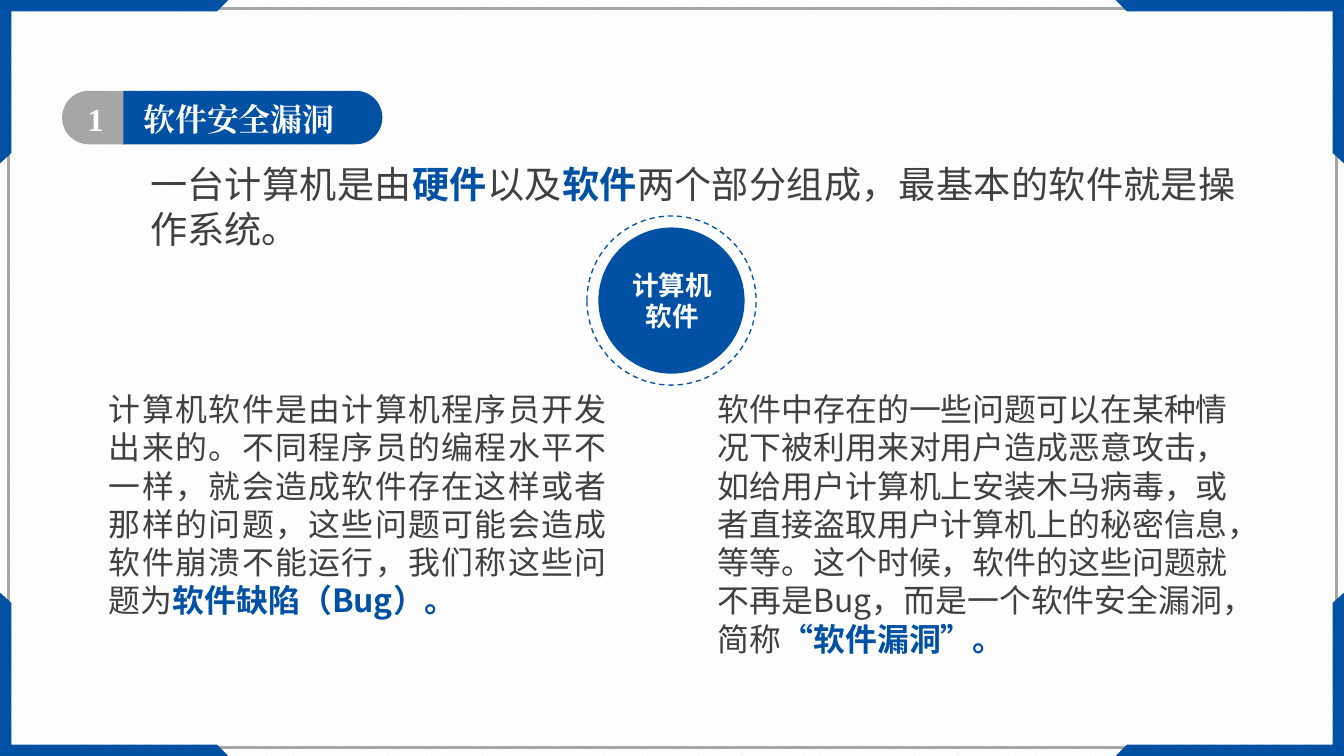
from lxml import etree
from pptx import Presentation
from pptx.dml.color import RGBColor
from pptx.enum.dml import MSO_LINE, MSO_PATTERN
from pptx.enum.shapes import MSO_SHAPE
from pptx.enum.text import MSO_AUTO_SIZE, PP_ALIGN
from pptx.oxml.ns import qn
from pptx.util import Pt

PX = 9144  # one px is a hundredth of an inch
WIDTH, HEIGHT = 1406, 791
BLUE, GREY, DARK, WHITE = "0050A3", "A6A6A6", "404040", "FFFFFF"
SANS, SERIF = "Noto Sans CJK SC", "Times New Roman"


def color(value):
    return RGBColor.from_string(value)


def style(shape, fill=None, line=None, weight=1, dash=None):
    shape.shadow.inherit = False
    if fill:
        shape.fill.solid()
        shape.fill.fore_color.rgb = color(fill)
    else:
        shape.fill.background()
    if line:
        shape.line.color.rgb = color(line)
        shape.line.width = Pt(weight)
        shape.line.dash_style = dash
    else:
        shape.line.fill.background()


def add_shape(slide, kind, box, **look):
    shape = slide.shapes.add_shape(kind, *(value * PX for value in box))
    style(shape, **look)
    return shape


def add_text(slide, box, text, size=24, font=SANS, fill=DARK, bold=False,
             align=PP_ALIGN.LEFT, insets=(9, 5)):
    """Place text; a list alternates plain and highlighted runs."""
    frame = slide.shapes.add_textbox(*(value * PX for value in box)).text_frame
    frame.word_wrap = True
    frame.auto_size = MSO_AUTO_SIZE.SHAPE_TO_FIT_TEXT
    frame.margin_left = frame.margin_right = insets[0] * PX
    frame.margin_top = frame.margin_bottom = insets[1] * PX
    paragraph = frame.paragraphs[0]
    paragraph.alignment = align
    for index, part in enumerate([text] if isinstance(text, str) else text):
        highlighted = index % 2 == 1
        run = paragraph.add_run()
        run.text = part
        run.font.size = Pt(size)
        run.font.name = font
        run.font.bold = bold or highlighted
        run.font.color.rgb = color(BLUE if highlighted else fill)
        # East Asian characters take their own font entry
        east_asian = etree.SubElement(run.font._element, qn("a:ea"))
        east_asian.set("typeface", font)


def add_frame(slide, box):
    left, top, width, height = box
    add_shape(slide, MSO_SHAPE.RECTANGLE,
              (left + 9, top + 9, width - 17, height - 18), line=GREY, weight=2)
    # The same bracket is mirrored into all four corners
    bracket = [(0, 0), (239, 0), (227, 12), (12, 12), (12, 160), (0, 171)]
    for corner_x, step_x in ((left, 1), (left + width, -1)):
        for corner_y, step_y in ((top, 1), (top + height, -1)):
            points = [(corner_x + step_x * x, corner_y + step_y * y)
                      for x, y in bracket]
            builder = slide.shapes.build_freeform(*points[0], scale=PX)
            builder.add_line_segments(points[1:], close=True)
            style(builder.convert_to_shape(), fill=BLUE)


def add_pill_end(slide, box, rotation, fill):
    """Fill the box with a bar that is round at one side."""
    left, top, width, height = box
    shift = (width - height) // 2
    shape = add_shape(slide, MSO_SHAPE.ROUND_2_SAME_RECTANGLE,
                      (left + shift, top - shift, height, width), fill=fill)
    shape.adjustments[0] = 0.5
    shape.adjustments[1] = 0
    shape.rotation = rotation


def add_heading(slide, box, number, title):
    left, top, width, height = box
    number_width = 64
    add_pill_end(slide, (left + number_width - 1, top, width - number_width + 1, height),
                 90, BLUE)
    add_pill_end(slide, (left, top, number_width, height), 270, GREY)
    label = dict(font=SERIF, fill=WHITE, bold=True, insets=(15, 8))
    add_text(slide, (left + 70, top + 1, 278, height), title, **label)
    add_text(slide, (left + 5, top + 1, 60, height), number,
             align=PP_ALIGN.CENTER, **label)


def add_badge(slide, box, text):
    left, top, width, height = box
    ring = 12
    add_shape(slide, MSO_SHAPE.OVAL, box, line=BLUE, dash=MSO_LINE.DASH)
    add_shape(slide, MSO_SHAPE.OVAL,
              (left + ring, top + ring, width - 2 * ring, height - 2 * ring), fill=BLUE)
    add_text(slide, (left + 30, top + 50, width - 59, 77), text, size=20,
             fill=WHITE, bold=True, align=PP_ALIGN.CENTER, insets=(10, 5))


def add_columns(slide, top, defect, vulnerability):
    add_text(slide, (105, top, 539, 252), defect, align=PP_ALIGN.JUSTIFY)
    add_text(slide, (742, top, 559, 333), vulnerability)


def main():
    presentation = Presentation()
    presentation.slide_width = WIDTH * PX
    presentation.slide_height = HEIGHT * PX
    slide = presentation.slides.add_slide(presentation.slide_layouts[6])

    # Striped background
    background = slide.background.fill
    background.patterned()
    background.pattern = MSO_PATTERN.WIDE_UPWARD_DIAGONAL
    background.fore_color.rgb = color("F2F2F2")
    background.back_color.rgb = color(WHITE)

    add_frame(slide, (0, 0, WIDTH, HEIGHT))
    add_heading(slide, (65, 95, 335, 56), "1", "软件安全漏洞")

    # Introduction
    add_text(slide, (148, 164, 1154, 104),
             ["一台计算机是由", "硬件", "以及", "软件",
              "两个部分组成，最基本的软件就是操作系统。"],
             size=28, align=PP_ALIGN.JUSTIFY)

    add_badge(slide, (614, 226, 177, 177), "计算机软件")
    add_columns(
        slide, 403,
        ["计算机软件是由计算机程序员开发出来的。不同程序员的编程水平不一样，"
         "就会造成软件存在这样或者那样的问题，这些问题可能会造成软件崩溃不能运行，"
         "我们称这些问题为", "软件缺陷（Bug）。"],
        ["软件中存在的一些问题可以在某种情况下被利用来对用户造成恶意攻击，"
         "如给用户计算机上安装木马病毒，或者直接盗取用户计算机上的秘密信息，等等。"
         "这个时候，软件的这些问题就不再是Bug，而是一个软件安全漏洞，简称",
         "“软件漏洞”。"])
    presentation.save("out.pptx")


if __name__ == "__main__":
    main()
